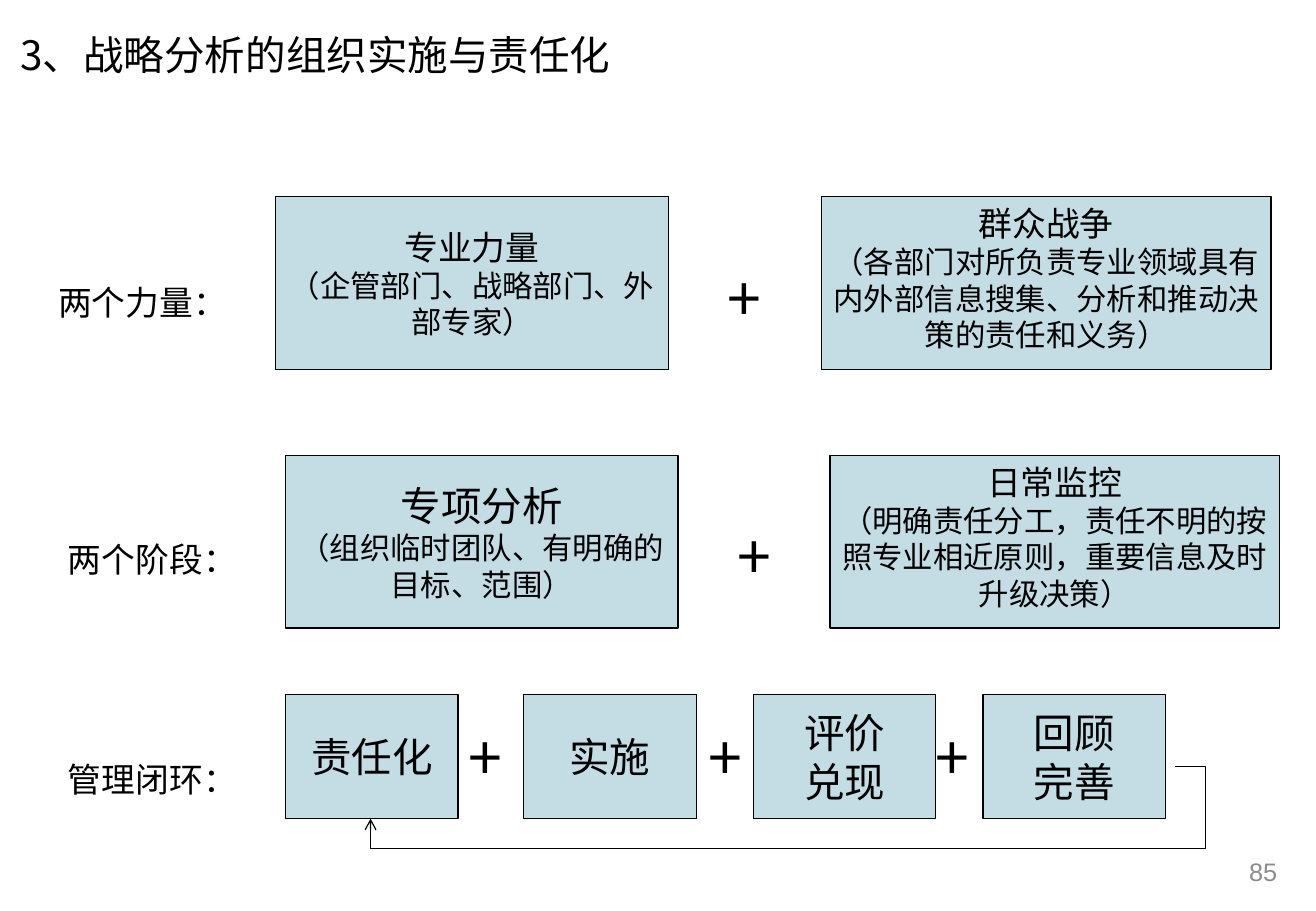
"""Build the slide on organising strategic analysis and its responsibilities."""
from lxml import etree
from pptx import Presentation
from pptx.dml.color import RGBColor
from pptx.enum import shapes, text
from pptx.oxml import ns
from pptx.util import Inches, Pt

BLACK = RGBColor(0, 0, 0)
GREY = RGBColor(0x8C, 0x8C, 0x8C)
PALE = RGBColor(0xC4, 0xDD, 0xE5)
HAN = "Noto Sans CJK SC"
LEFT, MID, RIGHT = text.PP_ALIGN.LEFT, text.PP_ALIGN.CENTER, text.PP_ALIGN.RIGHT
TOP, CENTRE = text.MSO_ANCHOR.TOP, text.MSO_ANCHOR.MIDDLE


def write(shape, lines, align=LEFT, anchor=TOP, face=HAN, color=BLACK, space=None):
    frame = shape.text_frame
    frame.word_wrap = True
    frame.vertical_anchor = anchor
    frame.text = "\n".join(words for words, size in lines)
    for para, (words, size) in zip(frame.paragraphs, lines):
        para.alignment = align
        para.line_spacing = space
        font = para.font
        font.name, font.size = face, Pt(size)
        font.color.rgb = color
        east = etree.SubElement(font._element, ns.qn("a:ea"))
        east.set("typeface", face)


def box(left, top, width, height, lines, anchor=CENTRE):
    rect = slide.shapes.add_shape(shapes.MSO_SHAPE.RECTANGLE, Inches(left),
                                  Inches(top), Inches(width), Inches(height))
    rect.shadow.inherit = False
    rect.fill.solid()
    rect.fill.fore_color.rgb = PALE
    rect.line.color.rgb = BLACK
    rect.line.width = Pt(0.75)
    write(rect, lines, MID, anchor)


deck = Presentation()
deck.slide_width, deck.slide_height = Inches(10.83), Inches(7.5)
slide = deck.slides.add_slide(deck.slide_layouts[6])
add = slide.shapes.add_textbox

page = add(Inches(8.08), Inches(7), Inches(2.53), Inches(0.35))
write(page, [("85", 15)], RIGHT, CENTRE, "Arial", GREY)
title = add(Inches(0.07), Inches(0.2), Inches(5.11), Inches(0.5))
write(title, [("3、战略分析的组织实施与责任化", 24)])

labels = [
    (0.38, 2.1, "两个力量："),
    (0.46, 4.22, "两个阶段："),
    (0.46, 6.03, "管理闭环："),
]
for left, top, words in labels:
    label = add(Inches(left), Inches(top), Inches(9.21), Inches(0.55))
    write(label, [(words, 20)], space=1.5)

pairs = [
    (2.27, 1.62, 3.23, CENTRE, "专业力量", 20, "（企管部门、战略部门、外部专家）"),
    (6.76, 1.62, 3.7, TOP, "群众战争", 20,
     "（各部门对所负责专业领域具有内外部信息搜集、分析和推动决策的责任和义务）"),
    (2.35, 3.75, 3.23, CENTRE, "专项分析", 24, "（组织临时团队、有明确的目标、范围）"),
    (6.83, 3.75, 3.7, TOP, "日常监控", 20,
     "（明确责任分工，责任不明的按照专业相近原则，重要信息及时升级决策）"),
]
for left, top, width, anchor, head, size, note in pairs:
    box(left, top, width, 1.42, [(head, size), (note, 18)], anchor)

steps = [
    (2.35, 1.42, ["责任化"]),
    (4.31, 1.42, ["实施"]),
    (6.2, 1.5, ["评价", "兑现"]),
    (8.09, 1.5, ["回顾", "完善"]),
]
for left, width, words in steps:
    box(left, 5.72, width, 1.02, [(word, 24) for word in words])

for left, top in [(5.89, 2.1), (5.97, 4.22), (3.76, 5.88), (5.73, 5.88), (7.6, 5.88)]:
    plus = add(Inches(left), Inches(top), Inches(0.58), Inches(0.71))
    write(plus, [("+", 36)])

loop = slide.shapes.add_connector(shapes.MSO_CONNECTOR.ELBOW, Inches(9.67),
                                  Inches(6.31), Inches(3.05), Inches(6.74))
loop.line.color.rgb = BLACK
loop.line.width = Pt(0.75)
props = loop._element.spPr
shape = props.find(ns.qn("a:prstGeom"))
shape.set("prst", "bentConnector4")
guides = shape.find(ns.qn("a:avLst"))
for name, value in [("adj1", -3800), ("adj2", 157400)]:
    guide = etree.SubElement(guides, ns.qn("a:gd"))
    guide.set("name", name)
    guide.set("fmla", f"val {value}")
tail = etree.SubElement(props.find(ns.qn("a:ln")), ns.qn("a:tailEnd"))
tail.set("type", "arrow")
etree.SubElement(props, ns.qn("a:effectLst"))

deck.save("out.pptx")
